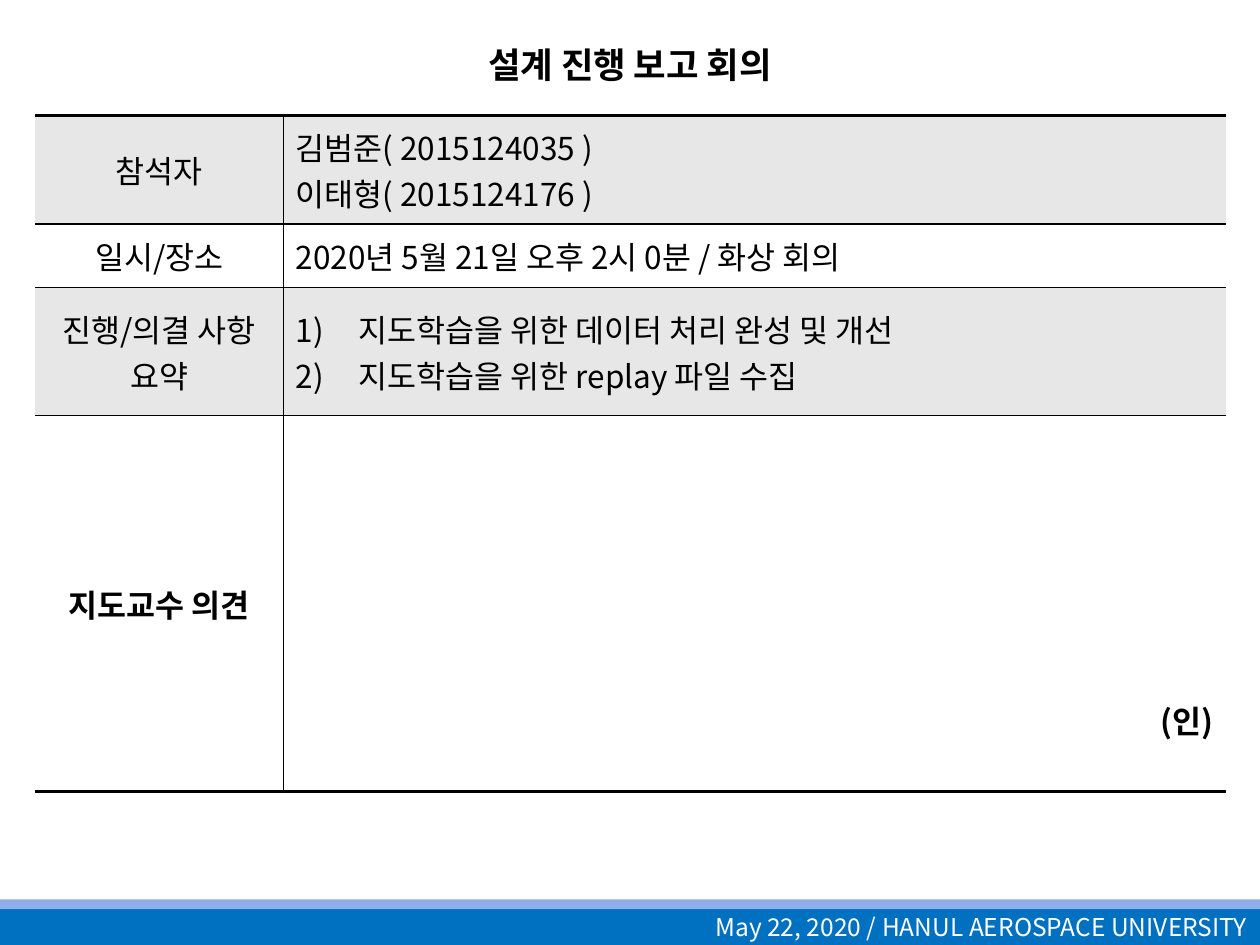
"""Build the design progress meeting report slide."""
from dataclasses import dataclass

from lxml.etree import SubElement
from pptx import Presentation
from pptx.dml.color import RGBColor
from pptx.enum.shapes import MSO_SHAPE
from pptx.enum.text import MSO_ANCHOR, PP_ALIGN
from pptx.oxml import parse_xml
from pptx.oxml.ns import nsdecls, qn
from pptx.util import Cm, Pt


@dataclass(frozen=True)
class Theme:
    font: str = "Noto Sans CJK KR"
    black: str = "000000"
    white: str = "FFFFFF"
    band: str = "E7E7E7"
    blue: str = "0070C0"
    stripe: str = "8FADE9"
    title: float = 25.2
    body: float = 18
    footer: float = 14
    thin: float = 1
    thick: float = 2


@dataclass(frozen=True)
class Row:
    label: str
    lines: tuple[str, ...]
    height: float
    fill: str
    bold: bool = False
    numbered: bool = False
    signature: bool = False


T = Theme()
WIDTH, HEIGHT = 25.4, 19.05
COLS = (5.0, 19.0)
ROWS = (
    Row("참석자", ("김범준( 2015124035 )", "이태형( 2015124176 )"), 2.2, T.band),
    Row("일시/장소", ("2020년 5월 21일 오후 2시 0분 / 화상 회의",), 1.28, T.white),
    Row("진행/의결 사항 요약",
        ("지도학습을 위한 데이터 처리 완성 및 개선", "지도학습을 위한 replay 파일 수집"),
        2.58, T.band, numbered=True),
    Row("지도교수 의견", ("(인)",), 7.58, T.white, bold=True, signature=True),
)


def add_run(p, text: str, size: float, color: str, bold: bool = False):
    """Add one run with the theme font for Latin and Korean text."""
    r = p.add_run()
    r.text = text
    r.font.size, r.font.bold, r.font.name = Pt(size), bold, T.font
    r.font.color.rgb = RGBColor.from_string(color)
    SubElement(r._r.get_or_add_rPr(), qn("a:ea")).set("typeface", T.font)
    return r


def add_bar(s, top: float, height: float, color: str):
    """Add a full-width bar."""
    sp = s.shapes.add_shape(MSO_SHAPE.RECTANGLE, 0, Cm(top), Cm(WIDTH), Cm(height))
    sp.shadow.inherit = False
    sp.fill.solid()
    sp.fill.fore_color.rgb = RGBColor.from_string(color)
    sp.line.fill.background()
    return sp


def set_borders(cell, left: float, right: float, top: float, bottom: float) -> None:
    """Set the four border widths in points; zero hides a border."""
    sides = zip("LRTB", (left, right, top, bottom))
    for i, (side, width) in enumerate(sides):
        paint = (f'<a:solidFill><a:srgbClr val="{T.black}"/></a:solidFill>'
                 if width else "<a:noFill/>")
        ln = parse_xml(f'<a:ln{side} {nsdecls("a")} w="{Pt(width)}">{paint}</a:ln{side}>')
        cell._tc.get_or_add_tcPr().insert(i, ln)


def set_number(p) -> None:
    """Number a paragraph as 1), 2) with a hanging indent."""
    pPr = p._p.get_or_add_pPr()
    pPr.set("marL", str(Cm(1.27)))
    pPr.set("indent", str(-Cm(1.27)))
    SubElement(pPr, qn("a:buFont")).set("typeface", "+mj-lt")
    SubElement(pPr, qn("a:buAutoNum")).set("type", "arabicParenR")


def fill_cell(cell, lines: tuple[str, ...], row: Row, align: PP_ALIGN) -> None:
    """Write the lines of a cell and colour it."""
    cell.fill.solid()
    cell.fill.fore_color.rgb = RGBColor.from_string(row.fill)
    cell.vertical_anchor = MSO_ANCHOR.MIDDLE
    tf = cell.text_frame
    for i, line in enumerate(lines):
        p = tf.add_paragraph() if i else tf.paragraphs[0]
        p.alignment = align
        add_run(p, line, T.body, T.black, row.bold)


def add_title(s, text: str) -> None:
    """Add the centred slide title."""
    tf = s.shapes.add_textbox(Cm(1.9), Cm(0.53), Cm(21.6), Cm(1.4)).text_frame
    tf.word_wrap = True
    tf.vertical_anchor = MSO_ANCHOR.MIDDLE
    p = tf.paragraphs[0]
    p.alignment = PP_ALIGN.CENTER
    r = add_run(p, text, T.title, T.black, True)
    r._r.get_or_add_rPr().set("cap", "small")


def add_report(s) -> None:
    """Add the report table."""
    total = sum(row.height for row in ROWS)
    tbl = s.shapes.add_table(len(ROWS), len(COLS), Cm(0.71), Cm(2.32),
                             Cm(sum(COLS)), Cm(total)).table
    tbl.first_row = tbl.horz_banding = False
    for col, width in zip(tbl.columns, COLS):
        col.width = Cm(width)
    for i, row in enumerate(ROWS):
        tbl.rows[i].height = Cm(row.height)
        label, content = tbl.cell(i, 0), tbl.cell(i, 1)
        fill_cell(label, (row.label,), row, PP_ALIGN.CENTER)
        fill_cell(content, row.lines, row,
                  PP_ALIGN.RIGHT if row.signature else PP_ALIGN.LEFT)
        if row.numbered:
            for p in content.text_frame.paragraphs:
                set_number(p)
        if row.signature:
            content.vertical_anchor = MSO_ANCHOR.BOTTOM
            content.margin_bottom = Cm(1)
        top = T.thin if i else T.thick
        bottom = T.thick if i == len(ROWS) - 1 else T.thin
        set_borders(label, 0, T.thin, top, bottom)
        set_borders(content, T.thin, 0, top, bottom)


def add_footer(s, text: str) -> None:
    """Add the footer bar with its text and the stripe above it."""
    tf = add_bar(s, 18.32, 0.73, T.blue).text_frame
    tf.word_wrap = True
    tf.vertical_anchor = MSO_ANCHOR.MIDDLE
    p = tf.paragraphs[0]
    p.alignment = PP_ALIGN.RIGHT
    add_run(p, text, T.footer, T.white)
    add_bar(s, 18.13, 0.2, T.stripe)


def main() -> None:
    """Build and save the slide."""
    prs = Presentation()
    prs.slide_width, prs.slide_height = Cm(WIDTH), Cm(HEIGHT)
    s = prs.slides.add_slide(prs.slide_layouts[6])
    add_footer(s, "May 22, 2020 / HANUL AEROSPACE UNIVERSITY")
    add_title(s, "설계 진행 보고 회의")
    add_report(s)
    prs.save("out.pptx")


if __name__ == "__main__":
    main()
